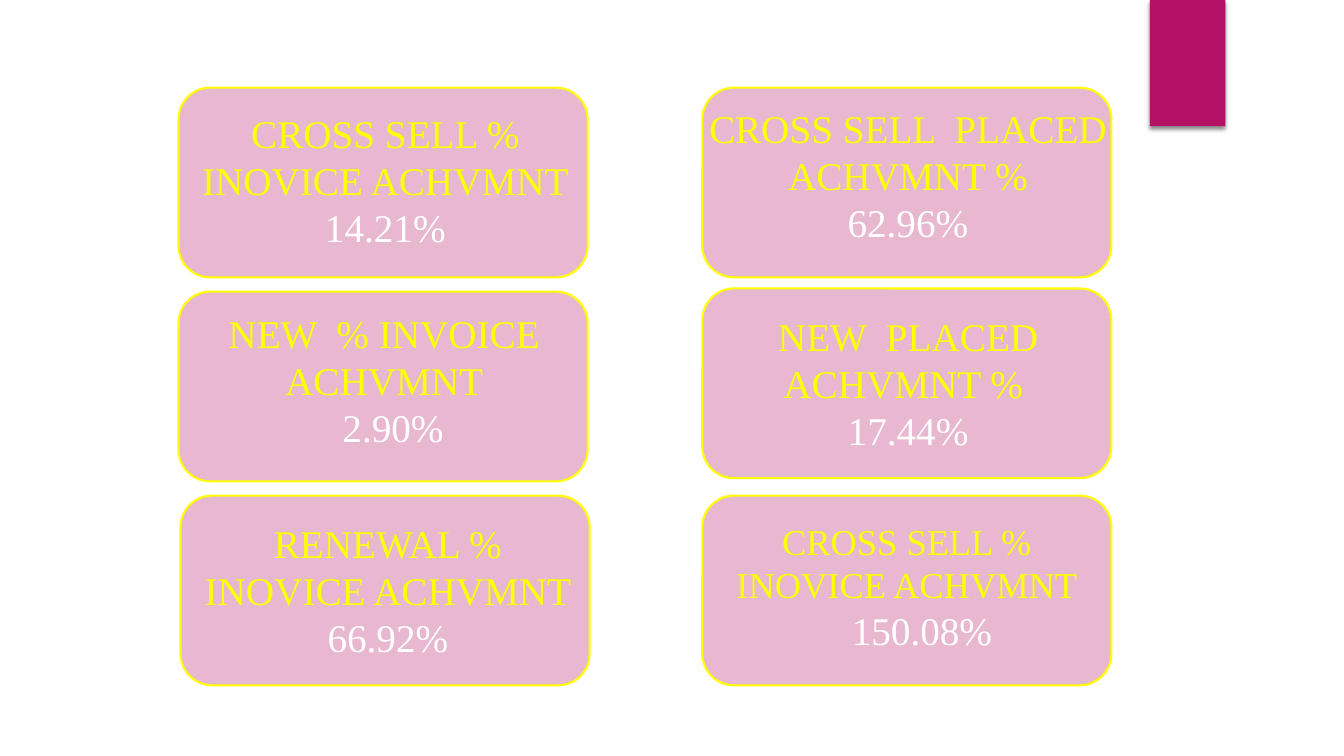
from dataclasses import dataclass

from lxml import etree
from pptx import Presentation
from pptx.dml.color import RGBColor
from pptx.enum.shapes import MSO_SHAPE
from pptx.enum.text import MSO_AUTO_SIZE, PP_ALIGN
from pptx.oxml.ns import qn
from pptx.shapes.autoshape import Shape
from pptx.slide import Slide
from pptx.util import Cm, Pt

RECT = MSO_SHAPE.RECTANGLE
ROUND = MSO_SHAPE.ROUNDED_RECTANGLE
GROW = MSO_AUTO_SIZE.SHAPE_TO_FIT_TEXT
MID = PP_ALIGN.CENTER


@dataclass(frozen=True)
class Theme:
    face: str = "Times New Roman"
    pink: RGBColor = RGBColor(0xB3, 0x11, 0x66)
    gold: RGBColor = RGBColor(0xFF, 0xFF, 0x00)
    white: RGBColor = RGBColor(0xFF, 0xFF, 0xFF)
    size: int = 28
    small: int = 26
    line: float = 1.5
    tint: int = 30


THEME = Theme()


# Lengths in cm; dx and dy move a card off the grid
@dataclass(frozen=True)
class Card:
    col: int
    row: int
    title: str
    value: str
    left: float
    top: float
    width: float
    dx: float = 0
    dy: float = 0
    indent: float = 0
    size: int = THEME.size


CARDS = [
    Card(0, 0, "CROSS SELL % INOVICE ACHVMNT", "14.21%", 4.78, 2.62, 9.86),
    Card(0, 1, "NEW  % INVOICE ACHVMNT", "2.90%", 4.75, 7.67, 9.86, indent=0.45),
    Card(0, 2, "RENEWAL % INOVICE ACHVMNT", "66.92%", 4.62, 12.95, 10.31, dx=0.05),
    Card(1, 0, "CROSS SELL  PLACED ACHVMNT %", "62.96%", 17.42, 2.51, 10.92),
    Card(1, 1, "NEW  PLACED ACHVMNT % ", "17.44%", 17.07, 7.75, 11.63, dy=-0.08),
    Card(1, 2, "CROSS SELL % INOVICE ACHVMNT", "150.08%", 17.55, 12.95, 10.62,
         indent=0.75, size=THEME.small),
]

# Card grid
LEFT, TOP = 4.5, 2.21
STEP_X, STEP_Y = 13.2, 5.14
WIDE, HIGH = 10.31, 4.78
TEXT_HIGH = 3.84


def fade(node: etree._Element, part: int) -> None:
    etree.SubElement(node, qn("a:alpha"), val=str(part * 1000))


def add_tag(slide: Slide) -> None:
    tag = slide.shapes.add_shape(RECT, Cm(28.98), 0, Cm(1.9), Cm(3.18))
    tag.fill.solid()
    tag.fill.fore_color.rgb = THEME.pink
    tag.line.fill.background()
    tag.shadow.inherit = False
    glow = {"blurRad": Pt(3), "dist": Pt(2), "dir": 90 * 60000, "rotWithShape": 0}
    effect = tag.element.spPr.find(qn("a:effectLst"))
    shade = etree.SubElement(effect, qn("a:outerShdw"))
    for key, val in glow.items():
        shade.set(key, str(int(val)))
    fade(etree.SubElement(shade, qn("a:srgbClr"), val="000000"), 45)


def add_panel(slide: Slide, card: Card) -> Shape:
    left = LEFT + card.col * STEP_X + card.dx
    top = TOP + card.row * STEP_Y + card.dy
    panel = slide.shapes.add_shape(ROUND, Cm(left), Cm(top), Cm(WIDE), Cm(HIGH))
    panel.shadow.inherit = False
    panel.fill.solid()
    panel.fill.fore_color.rgb = THEME.pink
    fade(panel.element.spPr.find(".//" + qn("a:srgbClr")), THEME.tint)
    panel.line.color.rgb = THEME.gold
    panel.line.width = Pt(THEME.line)
    return panel


def add_text(slide: Slide, card: Card) -> None:
    box = slide.shapes.add_textbox(
        Cm(card.left), Cm(card.top), Cm(card.width), Cm(TEXT_HIGH))
    frame = box.text_frame
    for key, val in {"word_wrap": True, "auto_size": GROW}.items():
        setattr(frame, key, val)
    lines = [
        (frame.paragraphs[0], card.title, card.size, THEME.gold, 0),
        (frame.add_paragraph(), card.value, THEME.size, THEME.white, card.indent),
    ]
    for para, text, size, color, indent in lines:
        para.alignment = MID
        if indent:
            para._p.get_or_add_pPr().set("marL", str(Cm(indent)))
        run = para.add_run()
        run.text = text
        for key, val in {"name": THEME.face, "size": Pt(size)}.items():
            setattr(run.font, key, val)
        run.font.color.rgb = color


def main() -> None:
    deck = Presentation()
    deck.slide_width, deck.slide_height = Cm(33.87), Cm(19.05)
    slide = deck.slides.add_slide(deck.slide_layouts[6])

    # Corner tag
    add_tag(slide)

    # Panels, then their figures on top
    for card in CARDS:
        add_panel(slide, card)
    for card in CARDS:
        add_text(slide, card)

    deck.save("out.pptx")


if __name__ == "__main__":
    main()
